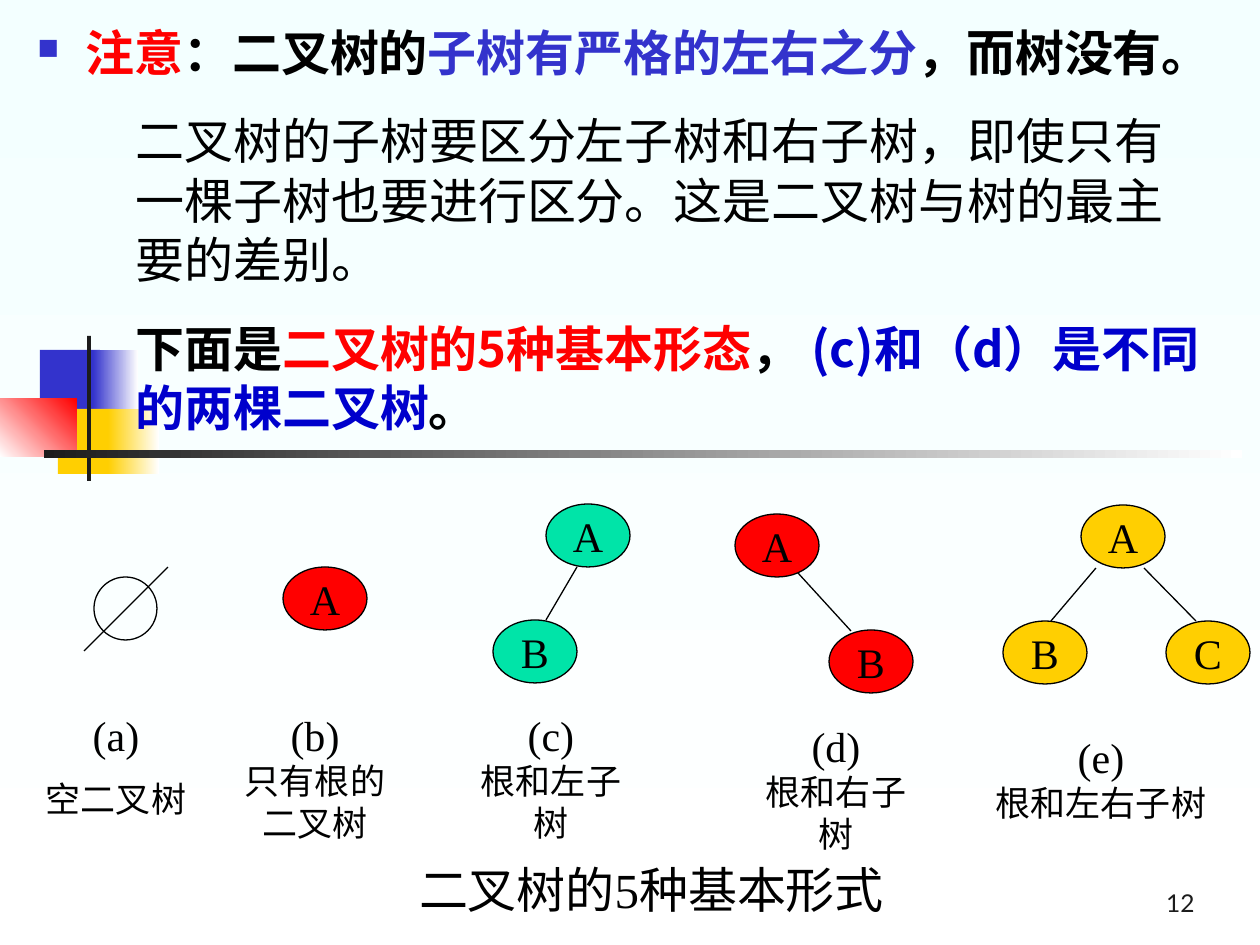
"""Build the slide on the five basic forms of a binary tree."""
from lxml import etree
from pptx import Presentation
from pptx.dml.color import RGBColor
from pptx.enum.shapes import MSO_CONNECTOR, MSO_SHAPE
from pptx.enum.text import MSO_ANCHOR, MSO_AUTO_SIZE, PP_ALIGN
from pptx.oxml.ns import qn
from pptx.util import Pt

RECTANGLE, OVAL = MSO_SHAPE.RECTANGLE, MSO_SHAPE.OVAL
STRAIGHT = MSO_CONNECTOR.STRAIGHT
TOP, MIDDLE, BOTTOM = MSO_ANCHOR.TOP, MSO_ANCHOR.MIDDLE, MSO_ANCHOR.BOTTOM
LEFT, CENTER, RIGHT = PP_ALIGN.LEFT, PP_ALIGN.CENTER, PP_ALIGN.RIGHT
NO_FIT = MSO_AUTO_SIZE.NONE
SCALE = 914400 / 126
BLACK, DARK, WHITE = "000000", "1C1C1C", "FFFFFF"
RED, BLUE, YELLOW, GREEN, NAVY = "FF0000", "3333CC", "FFCF01", "00E4A8", "0000CC"
SERIF, SANS, CJK = "Times New Roman", "Lato", "Noto Sans CJK SC"


def px(*lengths):
    return [round(length * SCALE) for length in lengths]


def write_text(shape, paragraphs, font, anchor=TOP, align=CENTER, wrap=True, bold=False, **spacing):
    frame = shape.text_frame
    frame_format = {"word_wrap": wrap, "auto_size": NO_FIT, "vertical_anchor": anchor}
    for name, value in frame_format.items():
        setattr(frame, name, value)
    for index, (size, runs) in enumerate(paragraphs):
        paragraph = frame.add_paragraph() if index else frame.paragraphs[0]
        paragraph_format = {"alignment": align, **spacing}
        if any(ord(letter) > 255 for text, _ in runs for letter in text):
            paragraph_format["line_spacing"] = Pt(round(size * 1.2))
        for name, value in paragraph_format.items():
            setattr(paragraph, name, value)
        for text, color in runs:
            run = paragraph.add_run()
            run.text = text
            run_format = {"name": font, "size": Pt(size), "bold": bold}
            for name, value in run_format.items():
                setattr(run.font, name, value)
            run.font.color.rgb = RGBColor.from_string(color)
            properties = run.font._element if hasattr(run.font, "_element") else run._r.get_or_add_rPr()
            etree.SubElement(properties, qn("a:ea"), typeface=CJK)


presentation = Presentation()
presentation.slide_width, presentation.slide_height = px(1260, 945)
slide = presentation.slides.add_slide(presentation.slide_layouts[5])
shapes = slide.shapes

decorations = [
    ((40, 350, 60, 66), (BLUE,), 0),
    ((93, 350, 45, 66), (BLUE, WHITE), 0),
    ((58, 409, 58, 65), (YELLOW,), 0),
    ((108, 409, 51, 65), (YELLOW, WHITE), 0),
    ((0, 399, 77, 58), (WHITE, RED), 45),
    ((87, 336, 4, 145), (DARK,), 0),
    ((44, 450, 1198, 8), (DARK, WHITE), 0),
]
gradients = [(slide.background.fill, ("F3FFFF", WHITE), 270)]
for box, colors, angle in decorations:
    block = shapes.add_shape(RECTANGLE, *px(*box))
    block.shadow.inherit = False
    block.line.fill.background()
    if len(colors) == 1:
        block.fill.solid()
        block.fill.fore_color.rgb = RGBColor.from_string(colors[0])
    else:
        gradients.append((block.fill, colors, angle))
for fill, colors, angle in gradients:
    fill.gradient()
    fill.gradient_angle = angle
    for stop, color in zip(fill.gradient_stops, colors):
        stop.color.rgb = RGBColor.from_string(color)

title = shapes.title
title.left, title.top, title.width, title.height = px(123, 106, 1101, 189)
title_text = "二叉树的子树要区分左子树和右子树，即使只有一棵子树也要进行区分。这是二叉树与树的最主要的差别。"
write_text(title, [(28, [(title_text, BLACK)])], CJK, BOTTOM, LEFT,
           space_before=Pt(12), space_after=Pt(12))

edges = [
    (168, 567, 84, 651),
    (577, 567, 546, 620),
    (798, 573, 851, 631),
    (1096, 568, 1051, 621),
    (1144, 568, 1196, 621),
]
for edge in edges:
    connector = shapes.add_connector(STRAIGHT, *px(*edge))
    connector.line.width = Pt(0.75)
    connector.line.color.rgb = RGBColor.from_string(BLACK)
    etree.SubElement(connector._element.spPr, qn("a:effectLst"))

nodes = [
    ("", 94, 577, 63, None),
    ("A", 283, 567, 84, RED),
    ("A", 546, 504, 84, GREEN),
    ("B", 493, 620, 84, GREEN),
    ("A", 735, 514, 84, RED),
    ("B", 829, 630, 84, RED),
    ("A", 1081, 505, 84, YELLOW),
    ("B", 1003, 621, 84, YELLOW),
    ("C", 1166, 621, 84, YELLOW),
]
for label, left, top, width, color in nodes:
    node = shapes.add_shape(OVAL, *px(left, top, width, 63))
    node.shadow.inherit = False
    node.line.width = Pt(0.75)
    node.line.color.rgb = RGBColor.from_string(BLACK)
    if color:
        node.fill.solid()
        node.fill.fore_color.rgb = RGBColor.from_string(color)
        write_text(node, [(24, [(label, BLACK)])], SERIF, MIDDLE, wrap=False)
    else:
        node.fill.background()

captions = [
    ((32, 703, 168, 126), 10, ["(a)", "空二叉树"]),
    ((231, 703, 168, 147), 0, ["(b)", "只有根的", "二叉树"]),
    ((451, 703, 200, 105), 0, ["(c)", "根和左子树"]),
    ((736, 714, 200, 105), 0, ["(d)", "根和右子树"]),
    ((983, 725, 236, 105), 0, ["(e)", "根和左右子树"]),
]
for box, gap, lines in captions:
    caption = shapes.add_textbox(*px(*box))
    sizes = [24] + [20] * (len(lines) - 1)
    paragraphs = [(size, [(line, BLACK)]) for size, line in zip(sizes, lines)]
    write_text(caption, paragraphs, SERIF, space_before=Pt(gap))

figure_title = shapes.add_textbox(*px(368, 853, 567, 72))
write_text(figure_title, [(28, [("二叉树的5种基本形式", BLACK)])], SERIF)

page_number = shapes.add_textbox(*px(945, 861, 262, 63))
write_text(page_number, [(14, [("12", DARK)])], SANS, BOTTOM, RIGHT)

note = shapes.add_textbox(*px(25, 16, 1211, 89))
note_runs = [("注意", RED), ("：二叉树的", BLACK), ("子树有严格的左右之分", BLUE), ("，而树没有。", BLACK)]
write_text(note, [(28, note_runs)], SANS, align=LEFT, bold=True)
bullet = note.text_frame.paragraphs[0]._p.get_or_add_pPr()
indent = px(48)[0]
bullet.set("marL", str(indent))
bullet.set("indent", str(-indent))
bullet_color = etree.SubElement(bullet, qn("a:buClr"))
etree.SubElement(bullet_color, qn("a:srgbClr"), val=BLUE)
etree.SubElement(bullet, qn("a:buSzPct"), val="60000")
etree.SubElement(bullet, qn("a:buChar"), char="■")

forms = shapes.add_textbox(*px(123, 294, 1101, 149))
forms_runs = [("下面是", BLACK), ("二叉树的5种基本形态", RED), ("， ", BLACK),
              ("(c)和（d）是不同的两棵二叉树", NAVY), ("。", BLACK)]
write_text(forms, [(28, forms_runs)], CJK, BOTTOM, LEFT, bold=True,
           space_before=Pt(12), space_after=Pt(12))

presentation.save("out.pptx")
